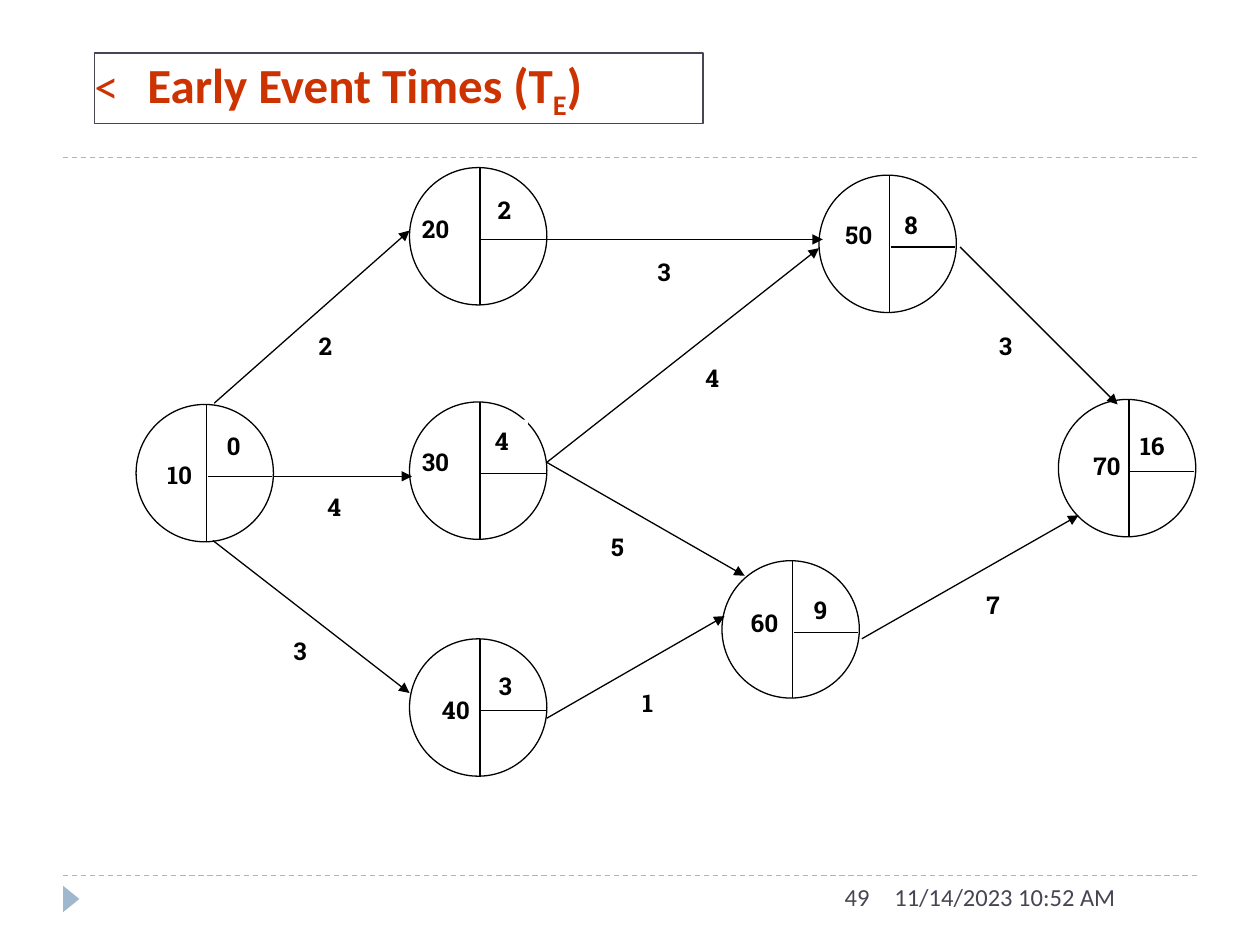
from lxml import etree
from pptx import Presentation
from pptx import util as u
from pptx.dml.color import RGBColor
from pptx.enum import dml, shapes, text
from pptx.oxml import ns

COLORS = {"black": "000000", "white": "FFFFFF", "slate": "464653",
          "blue": "9FB8CD", "red": "CC3300"}
RGB = {name: RGBColor.from_string(value) for name, value in COLORS.items()}

presentation = Presentation()
presentation.slide_width, presentation.slide_height = u.Inches(10), u.Inches(7.5)
slide = presentation.slides.add_slide(presentation.slide_layouts[6])

# Grid of 100 columns by 75 rows with square cells
CELL = presentation.slide_width / 100


def add_text(content, left, top, width=4.7, height=4.7, font="Roboto Slab", size=14,
             color="black", bold=True, align="JUSTIFY", fill=None, line=None,
             inset=(1, 0.5), anchor="TOP"):
    """Add a text box; content is a list of (text, baseline) runs or a string."""
    box = slide.shapes.add_textbox(*(round(n * CELL) for n in (left, top, width, height)))
    if fill:
        box.fill.solid()
        box.fill.fore_color.rgb = RGB[fill]
    if line:
        box.line.color.rgb = RGB[line]
        box.line.width = u.Pt(0.75)
    frame = box.text_frame
    frame.word_wrap = True
    frame.vertical_anchor = getattr(text.MSO_ANCHOR, anchor)
    frame.margin_left = frame.margin_right = round(inset[0] * CELL)
    frame.margin_top = frame.margin_bottom = round(inset[1] * CELL)
    paragraph = frame.paragraphs[0]
    paragraph.alignment = getattr(text.PP_ALIGN, align)
    for words, baseline in [(content, 0)] if isinstance(content, str) else content:
        run = paragraph.add_run()
        run.text = words
        run.font.name, run.font.size, run.font.bold = font, u.Pt(size), bold
        run.font.color.rgb = RGB[color]
        if baseline:
            run.font._element.set("baseline", str(baseline * 1000))
    return paragraph


def add_line(x1, y1, x2, y2, color="black", dashed=False, arrow=False):
    line = slide.shapes.add_connector(shapes.MSO_CONNECTOR.STRAIGHT,
                                      *(round(n * CELL) for n in (x1, y1, x2, y2)))
    line.line.color.rgb = RGB[color]
    line.line.width = u.Pt(0.75)
    if dashed:
        line.line.dash_style = dml.MSO_LINE.DASH
    if arrow:
        etree.SubElement(line.line._get_or_add_ln(), ns.qn("a:tailEnd"), type="triangle")
    etree.SubElement(line._element.spPr, ns.qn("a:effectLst"))


# Rules and footer
for row in (12.5, 69.5):
    add_line(5, row, 95, row, color="blue", dashed=True)
marker = slide.shapes.add_shape(shapes.MSO_SHAPE.ISOSCELES_TRIANGLE,
                                *(round(n * CELL) for n in (4.6, 70.7, 2.1, 1.3)))
marker.rotation = 90
marker.shadow.inherit = False
marker.fill.solid()
marker.fill.fore_color.rgb = RGB["blue"]
marker.line.fill.background()
footer = dict(height=4, font="Calibri", color="slate", bold=False)
add_text("11/14/2023 10:52 AM", 70, 69.5, width=25, align="LEFT", **footer)
add_text("49", 31.7, 69.5, width=38.3, align="RIGHT", **footer)

# Title with a "<" bullet
title = add_text([("Early Event Times (T", 0), ("E", -25), (")", 0)], 7.5, 4.2,
                 width=48.3, height=5.6, font="Calibri", size=28, color="red",
                 align="LEFT", fill="white", line="slate", inset=(0, 0), anchor="MIDDLE")
properties = title._p.get_or_add_pPr()
indent = round(4.2 * CELL)
properties.set("marL", str(indent))
properties.set("indent", str(-indent))
bullet_color = etree.SubElement(properties, ns.qn("a:buClr"))
etree.SubElement(bullet_color, ns.qn("a:srgbClr"), val=COLORS["red"])
etree.SubElement(properties, ns.qn("a:buFont"), typeface="Calibri")
etree.SubElement(properties, ns.qn("a:buChar"), char="<")

# Events: number, circle corner, number corner
DIAMETER = 10.9
events = [
    ("20", 32.5, 13.3, 32.5, 16.5),
    ("10", 10.8, 32.1, 12.3, 36),
    ("30", 32.5, 31.9, 32.5, 35),
    ("50", 65, 13.9, 66.1, 17),
    ("40", 32.5, 50.7, 34.1, 54.7),
    ("60", 57.3, 44.5, 58.6, 47.8),
    ("70", 84, 31.7, 85.8, 35.3),
]
for number, left, top, number_left, number_top in events:
    circle = slide.shapes.add_shape(shapes.MSO_SHAPE.OVAL, *(
        round(n * CELL) for n in (left, top, DIAMETER, DIAMETER)))
    circle.shadow.inherit = False
    circle.fill.solid()
    circle.fill.fore_color.rgb = RGB["white"]
    circle.line.color.rgb = RGB["black"]
    circle.line.width = u.Pt(0.75)
    add_line(left + 5.6, top, left + 5.6, top + DIAMETER)
    add_line(left + 5.7, top + 5.7, left + 10.8, top + 5.7)
    add_text(number, number_left, number_top)

# Activities
activities = [
    (21.7, 37.8, 32.7, 37.8), (17, 32, 32.5, 18.3), (16.9, 42.9, 32.5, 55),
    (43.4, 57, 57.5, 48.9), (43.4, 36.7, 65, 19.7), (43.4, 19, 65.3, 19),
    (43.4, 36.7, 59.1, 45.7), (68.4, 50.7, 85.6, 40.9), (76.2, 19.6, 88.7, 32.1),
]
for ends in activities:
    add_line(*ends, arrow=True)

# Activity durations
durations = [
    ("2", 24.3, 25.8), ("3", 22.3, 50), ("3", 51.2, 19.9),
    ("4", 25, 38.6), ("3", 78.3, 25.8), ("1", 50, 54.1),
    ("5", 47.5, 41.7), ("4", 55, 28.3), ("7", 77.3, 46.3),
]
for duration, left, top in durations:
    add_text(duration, left, top, width=3.6, height=3.4, fill="white")

# Early event times
early_times = [("0", 17, 33.7), ("3", 38.6, 52.8), ("9", 63.6, 46.7),
               ("16", 89.5, 33.7), ("8", 70.8, 16.2)]
for time, left, top in early_times:
    add_text(time, left, top)
add_text("2", 38.5, 15, width=3.2, height=3.1, fill="white")
add_text("4", 38.3, 33.3, width=3.6, height=3.9, fill="white")

presentation.save("out.pptx")
